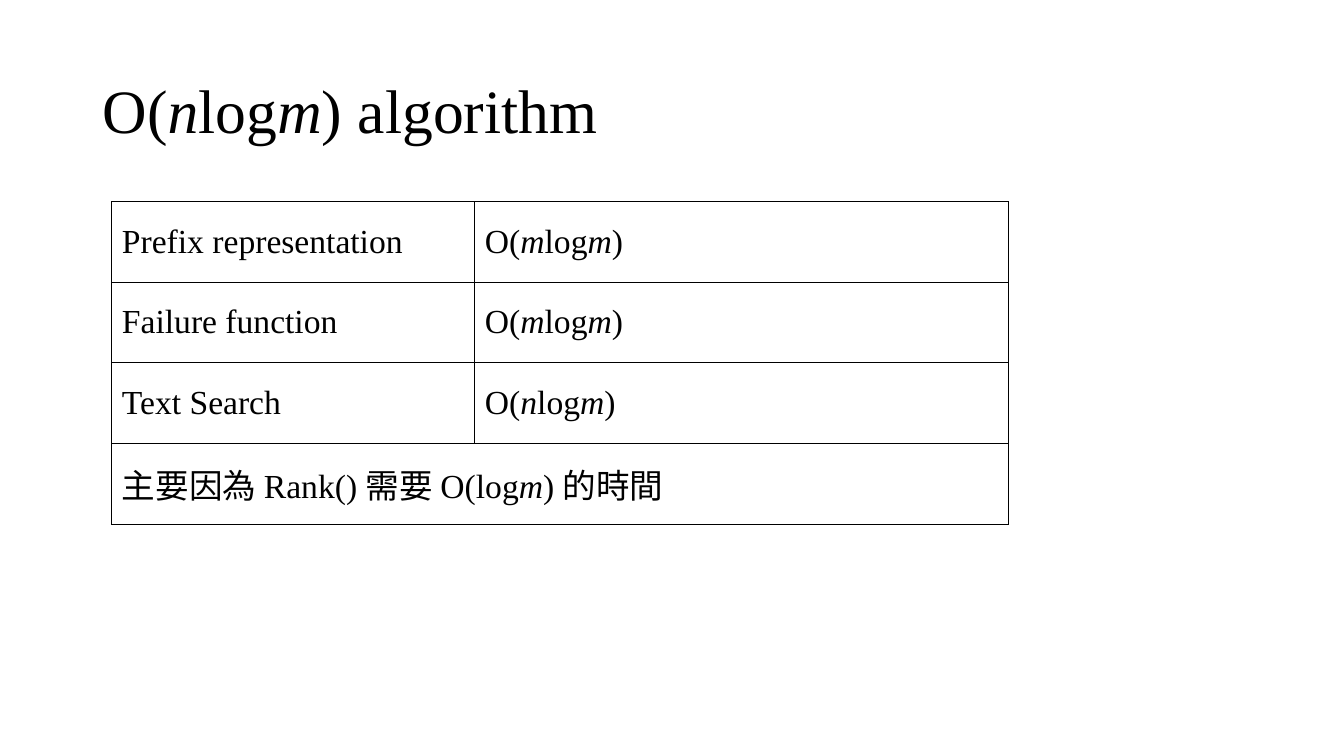
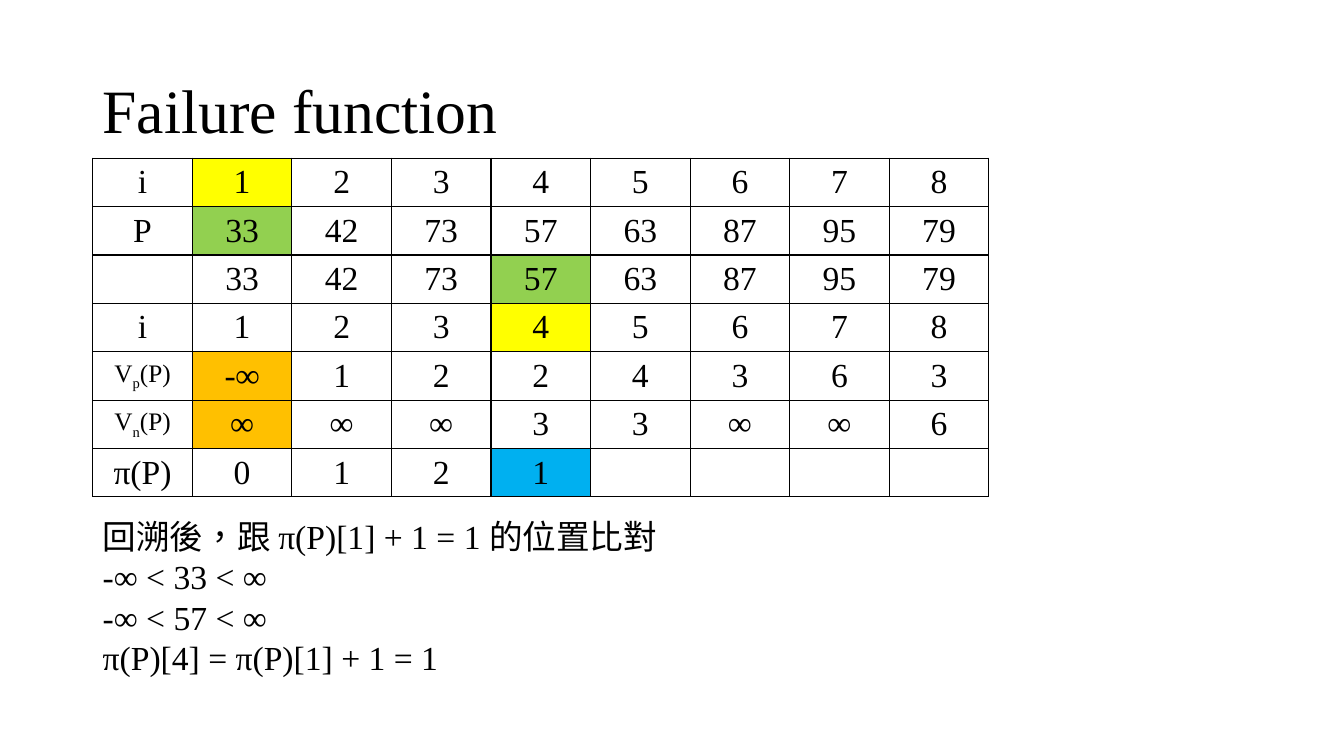
from dataclasses import dataclass

from lxml import etree
from pptx import Presentation
from pptx import util as u
from pptx.dml.color import RGBColor
from pptx.enum import text
from pptx.oxml.ns import qn


@dataclass(frozen=True)
class Theme:
    latin: str = "Times New Roman"
    asian: str = "Noto Sans CJK SC"
    language: str = "zh-TW"
    ink: str = "000000"
    index: str = "FFFF00"
    match: str = "92D050"
    bound: str = "FFC000"
    result: str = "00B0F0"
    title_size: int = 44
    body_size: int = 24
    label_size: int = 18
    border: float = 1


THEME = Theme()
LEFT = 0.92
TABLE_WIDTH = 8.89

# Pieces of text are parted by "|"; a leading mark sets the style of a piece
MARKS = {"*": "italic", "!": "bold", "~": "subscript"}

COMPLEXITY = [
    ["Prefix representation", "O(|*m|log|*m|)"],
    ["Failure function", "O(|*m|log|*m|)"],
    ["Text Search", "O(|*n|log|*m|)"],
    ["主要因為 Rank() 需要 O(log|*m|) 的時間", ""],
]

INDEX = ["i", *"12345678"]
PATTERN = ["33", "42", "73", "57", "63", "87", "95", "79"]
FAILURE = [
    INDEX,
    ["P", *PATTERN],
    ["", *PATTERN],
    INDEX,
    ["V|~p|(P)", "-|!∞", *"1224363"],
    ["V|~n|(P)", *"∞∞∞33∞∞6"],
    ["π(P)", *"0121", "", "", "", ""],
]
HIGHLIGHTS = {
    (0, 1): THEME.index, (3, 4): THEME.index,
    (1, 1): THEME.match, (2, 4): THEME.match,
    (4, 1): THEME.bound, (5, 1): THEME.bound,
    (6, 4): THEME.result,
}
SMALL_LABELS = {(4, 0), (5, 0)}

STEPS = [
    "回溯後，跟 π(P)[1] + 1 = 1 的位置比對",
    "-∞ < 33 < ∞",
    "-∞ < 57 < ∞",
    "π(P)[4] = π(P)[1] + 1 = 1",
]


# Text
def write_text(para, content, size=THEME.body_size, align=None, spacing=None):
    para.alignment = align
    if spacing:
        para.line_spacing = spacing
    for piece in filter(None, content.split("|")):
        style = MARKS.get(piece[0])
        span = para.add_run()
        span.text = piece[1:] if style else piece
        font = span.font
        font.size = u.Pt(size)
        font.color.rgb = RGBColor.from_string(THEME.ink)
        font.name = THEME.latin
        font.italic = style == "italic"
        font.bold = style == "bold"
        properties = font._element
        properties.set("lang", THEME.language)
        if style == "subscript":
            properties.set("baseline", "-25000")
        etree.SubElement(properties, qn("a:ea"), typeface=THEME.asian)


def add_text(page, lines, left, top, width, height,
             anchor=text.MSO_ANCHOR.TOP, **style):
    box = page.shapes.add_textbox(*map(u.Inches, (left, top, width, height)))
    frame = box.text_frame
    frame.word_wrap = True
    frame.vertical_anchor = anchor
    for number, line in enumerate(lines):
        para = frame.add_paragraph() if number else frame.paragraphs[0]
        write_text(para, line, **style)


def add_page(deck, title):
    page = deck.slides.add_slide(deck.slide_layouts[6])
    add_text(page, [title], LEFT, 0.4, 11.5, 1.45,
             anchor=text.MSO_ANCHOR.MIDDLE, size=THEME.title_size, spacing=0.9)
    return page


# Tables
def draw_borders(cell):
    properties = cell._tc.get_or_add_tcPr()
    for side in ("lnL", "lnR", "lnT", "lnB"):
        line = etree.SubElement(properties, qn(f"a:{side}"),
                                w=str(u.Pt(THEME.border)))
        fill = etree.SubElement(line, qn("a:solidFill"))
        etree.SubElement(fill, qn("a:srgbClr"), val=THEME.ink)


def add_grid(page, rows, left, top, widths, row_height, align=None,
             padding=0.05, fills=None, small=()):
    frame = page.shapes.add_table(
        len(rows), len(widths), u.Inches(left), u.Inches(top),
        u.Inches(sum(widths)), u.Inches(row_height * len(rows)))
    table = frame.table
    table.first_row = table.horz_banding = False
    for column, width in zip(table.columns, widths):
        column.width = u.Inches(width)
    for r, row in enumerate(rows):
        table.rows[r].height = u.Inches(row_height)
        for c, content in enumerate(row):
            cell = table.cell(r, c)
            cell.margin_top = cell.margin_bottom = u.Inches(padding)
            cell.vertical_anchor = text.MSO_ANCHOR.MIDDLE
            draw_borders(cell)
            color = (fills or {}).get((r, c))
            if color:
                cell.fill.solid()
                cell.fill.fore_color.rgb = RGBColor.from_string(color)
            else:
                cell.fill.background()
            size = THEME.label_size if (r, c) in small else THEME.body_size
            write_text(cell.text_frame.paragraphs[0], content, size, align)
    return table


# Slides
def add_complexity_page(deck):
    page = add_page(deck, "O(|*n|log|*m|) algorithm")
    table = add_grid(page, COMPLEXITY, 1.11, 2, [3.6, TABLE_WIDTH - 3.6], 0.8)
    last = len(COMPLEXITY) - 1
    table.cell(last, 0).merge(table.cell(last, 1))


def add_failure_page(deck):
    page = add_page(deck, "Failure function")
    columns = len(INDEX)
    add_grid(page, FAILURE, LEFT, 1.57, [TABLE_WIDTH / columns] * columns, 0.47,
             align=text.PP_ALIGN.CENTER, padding=0.04,
             fills=HIGHLIGHTS, small=SMALL_LABELS)
    add_text(page, STEPS, LEFT, 5.07, 8.11, 1.72)


def main():
    deck = Presentation()
    deck.slide_width, deck.slide_height = u.Inches(13.33), u.Inches(7.5)
    add_complexity_page(deck)
    add_failure_page(deck)
    deck.save("out.pptx")


if __name__ == "__main__":
    main()
